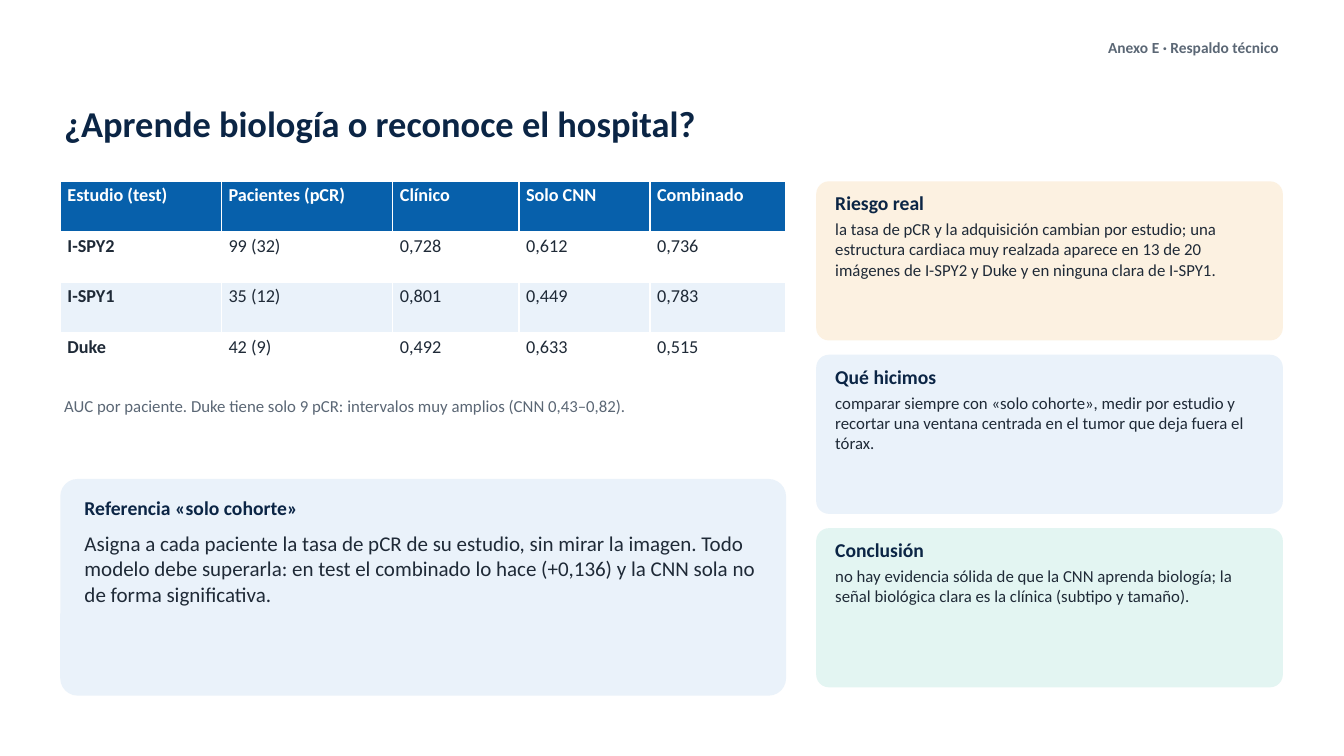
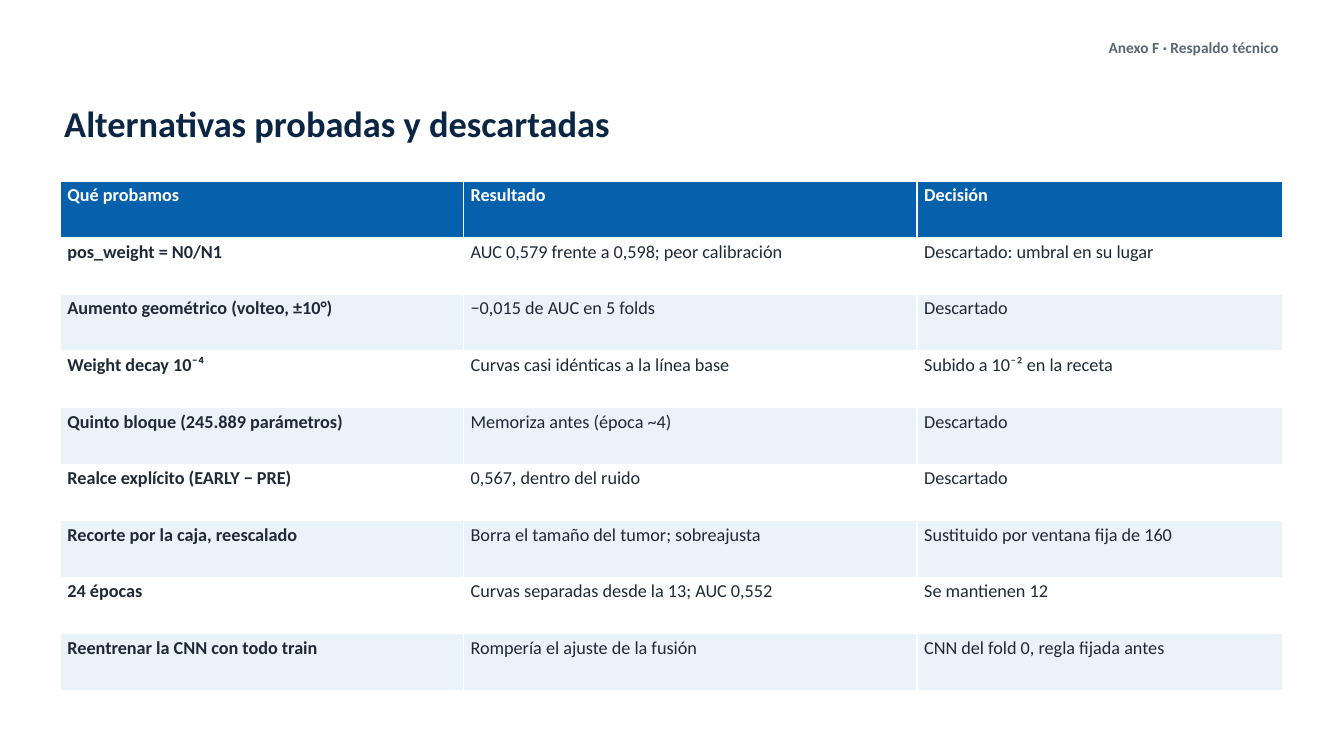
from dataclasses import dataclass

from pptx import Presentation
from pptx.dml.color import RGBColor
from pptx.enum.shapes import MSO_SHAPE
from pptx.enum.text import MSO_ANCHOR, MSO_AUTO_SIZE, PP_ALIGN
from pptx.util import Cm, Pt


@dataclass(frozen=True)
class Theme:
    font: str = "Calibri"
    navy: str = "0B2545"
    blue: str = "0760AB"
    ink: str = "1F2A37"
    grey: str = "5B6775"
    white: str = "FFFFFF"
    pale_blue: str = "EAF2FA"
    pale_orange: str = "FCF1E1"
    pale_green: str = "E3F5F2"
    title: int = 26
    lead: int = 15
    heading: int = 14
    cell: int = 13
    body: int = 12
    label: int = 11


theme = Theme()

# Shared grid, in centimetres
LEFT, TOP = 1.52, 4.57
FULL_WIDTH, MAIN_WIDTH = 30.81, 18.29
SIDE_LEFT, SIDE_WIDTH = 20.57, 11.76
CARD_HEIGHT, CARD_STEP = 4.01, 4.37


def write(paragraph, text, size, color, bold=False):
    run = paragraph.add_run()
    run.text = text
    run.font.name = theme.font
    run.font.size = Pt(size)
    run.font.bold = bold
    run.font.color.rgb = RGBColor.from_string(color)


def add_text(slide, place, lines, align=PP_ALIGN.LEFT, anchor=MSO_ANCHOR.TOP, after=0):
    frame = slide.shapes.add_textbox(*(Cm(length) for length in place)).text_frame
    frame.word_wrap = True
    frame.auto_size = MSO_AUTO_SIZE.SHAPE_TO_FIT_TEXT
    frame.vertical_anchor = anchor
    frame.margin_left = frame.margin_right = Cm(0.1)
    frame.margin_top = frame.margin_bottom = Cm(0.05)
    for index, line in enumerate(lines):
        paragraph = frame.add_paragraph() if index else frame.paragraphs[0]
        paragraph.alignment = align
        paragraph.space_after = Pt(after)
        write(paragraph, *line)


# Content: annex letter, title, column widths, table height and rows
annexes = [
    ("E", "¿Aprende biología o reconoce el hospital?", [4.06, 4.32, 3.18, 3.3, 3.43], 5.08, [
        ("Estudio (test)", "Pacientes (pCR)", "Clínico", "Solo CNN", "Combinado"),
        ("I-SPY2", "99 (32)", "0,728", "0,612", "0,736"),
        ("I-SPY1", "35 (12)", "0,801", "0,449", "0,783"),
        ("Duke", "42 (9)", "0,492", "0,633", "0,515"),
    ]),
    ("F", "Alternativas probadas y descartadas", [10.16, 11.43, 9.22], 12.83, [
        ("Qué probamos", "Resultado", "Decisión"),
        ("pos_weight = N0/N1", "AUC 0,579 frente a 0,598; peor calibración",
         "Descartado: umbral en su lugar"),
        ("Aumento geométrico (volteo, ±10°)", "−0,015 de AUC en 5 folds", "Descartado"),
        ("Weight decay 10⁻⁴", "Curvas casi idénticas a la línea base",
         "Subido a 10⁻² en la receta"),
        ("Quinto bloque (245.889 parámetros)", "Memoriza antes (época ~4)", "Descartado"),
        ("Realce explícito (EARLY − PRE)", "0,567, dentro del ruido", "Descartado"),
        ("Recorte por la caja, reescalado", "Borra el tamaño del tumor; sobreajusta",
         "Sustituido por ventana fija de 160"),
        ("24 épocas", "Curvas separadas desde la 13; AUC 0,552", "Se mantienen 12"),
        ("Reentrenar la CNN con todo train", "Rompería el ajuste de la fusión",
         "CNN del fold 0, regla fijada antes"),
    ]),
]

side_notes = [
    (theme.pale_orange, "Riesgo real",
     "la tasa de pCR y la adquisición cambian por estudio; una estructura cardiaca muy "
     "realzada aparece en 13 de 20 imágenes de I-SPY2 y Duke y en ninguna clara de I-SPY1."),
    (theme.pale_blue, "Qué hicimos",
     "comparar siempre con «solo cohorte», medir por estudio y recortar una ventana "
     "centrada en el tumor que deja fuera el tórax."),
    (theme.pale_green, "Conclusión",
     "no hay evidencia sólida de que la CNN aprenda biología; la señal biológica clara "
     "es la clínica (subtipo y tamaño)."),
]

deck = Presentation()
deck.slide_width, deck.slide_height = Cm(33.87), Cm(19.05)

# Annex label, title and table on every slide
for letter, title, widths, height, rows in annexes:
    slide = deck.slides.add_slide(deck.slide_layouts[6])
    add_text(slide, (18.54, 0.91, 13.79, 0.81),
             [(f"Anexo {letter} · Respaldo técnico", theme.label, theme.grey, True)],
             align=PP_ALIGN.RIGHT)
    add_text(slide, (LEFT, 2.18, FULL_WIDTH, 1.83),
             [(title, theme.title, theme.navy, True)], anchor=MSO_ANCHOR.MIDDLE)

    table = slide.shapes.add_table(len(rows), len(widths), Cm(LEFT), Cm(TOP),
                                   Cm(sum(widths)), Cm(height)).table
    for column, width in zip(table.columns, widths):
        column.width = Cm(width)
    for r, row in enumerate(rows):
        if r == 0:
            fill, color = theme.blue, theme.white
        else:
            fill, color = (theme.white if r % 2 else theme.pale_blue), theme.ink
        for c, text in enumerate(row):
            cell = table.cell(r, c)
            cell.fill.solid()
            cell.fill.fore_color.rgb = RGBColor.from_string(fill)
            cell.margin_left = cell.margin_right = Cm(0.18)
            cell.margin_top = cell.margin_bottom = Cm(0.08)
            write(cell.text_frame.paragraphs[0], text, theme.cell, color, r == 0 or c == 0)

# Note under the table of the first annex
study_slide = deck.slides[0]
add_text(study_slide, (LEFT, 9.91, MAIN_WIDTH, 1.78),
         [("AUC por paciente. Duke tiene solo 9 pCR: intervalos muy amplios (CNN 0,43–0,82).",
           theme.body, theme.grey)])

# Cards: place, padding, spacing, body size, fill, heading and body
cards = [
    ((SIDE_LEFT, TOP + i * CARD_STEP, SIDE_WIDTH, CARD_HEIGHT), (0.38, 0.2), 3, theme.body, *note)
    for i, note in enumerate(side_notes)
]
cards.append((
    (LEFT, 12.07, MAIN_WIDTH, 5.46), (0.51, 0.38), 8, theme.lead, theme.pale_blue,
    "Referencia «solo cohorte»",
    "Asigna a cada paciente la tasa de pCR de su estudio, sin mirar la imagen. Todo modelo "
    "debe superarla: en test el combinado lo hace (+0,136) y la CNN sola no de forma "
    "significativa."))

for place, (pad_x, pad_y), after, body_size, fill, heading, body in cards:
    card = study_slide.shapes.add_shape(MSO_SHAPE.ROUNDED_RECTANGLE,
                                        *(Cm(length) for length in place))
    card.adjustments[0] = 0.08
    card.shadow.inherit = False
    card.fill.solid()
    card.fill.fore_color.rgb = RGBColor.from_string(fill)
    card.line.fill.background()
    left, top, width, height = place
    add_text(study_slide, (left + pad_x, top + pad_y, width - 2 * pad_x, height - 2 * pad_y),
             [(heading, theme.heading, theme.navy, True), (body, body_size, theme.ink)],
             after=after)

deck.save("out.pptx")
